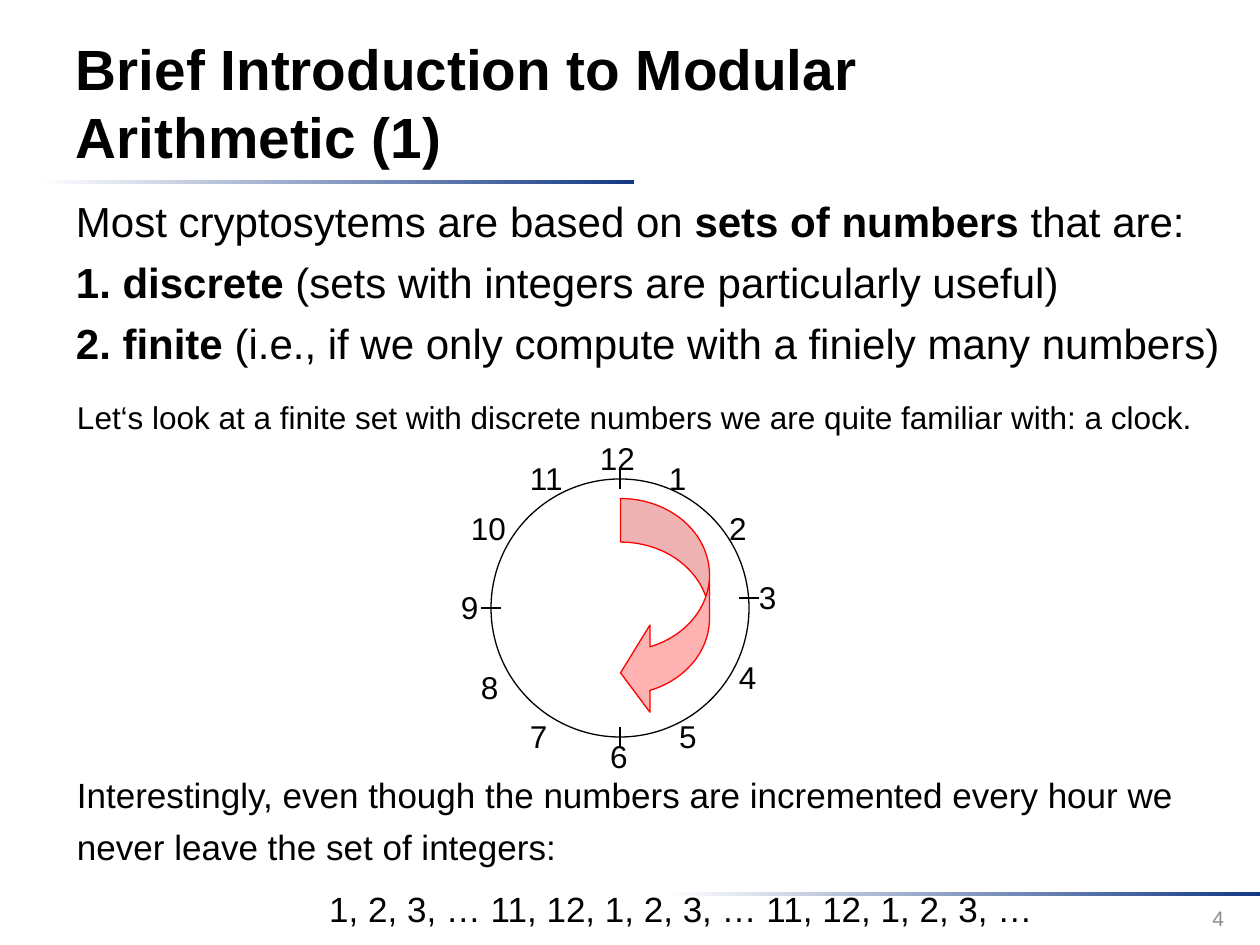
"""Build a slide that introduces modular arithmetic with a clock face."""
from dataclasses import dataclass
from typing import Any

from lxml import etree
from pptx import Presentation, util as u
from pptx.dml.color import RGBColor
from pptx.enum import shapes, text
from pptx.oxml import ns

EMU_PER_INCH = 914400
PX_PER_INCH = 126


@dataclass(frozen=True)
class Theme:
    font: str = "Arial"
    ink: str = "000000"
    paper: str = "FFFFFF"
    rule: str = "133984"
    muted: str = "8C8C8C"
    arrow: str = "FF0000"
    arrow_alpha: int = 30000
    outline: float = 0.75
    title: float = 32.4
    body: float = 24
    remark: float = 20
    note: float = 18
    number: float = 12


@dataclass(frozen=True)
class Box:
    left: int
    top: int
    width: int
    height: int

    def emu(self) -> tuple[int, ...]:
        return tuple(px(side) for side in (self.left, self.top, self.width, self.height))


@dataclass(frozen=True)
class Line:
    runs: tuple[tuple[str, bool], ...]
    align: Any = text.PP_ALIGN.LEFT
    indent: int = 0


@dataclass(frozen=True)
class TextBlock:
    box: Box
    lines: tuple[Line, ...]
    size: float
    color: str
    inset: tuple[int, int] = (0, 0)
    anchor: Any = text.MSO_ANCHOR.TOP
    spacing: float = 1.0
    before: float = 0
    wrap: bool = True


@dataclass(frozen=True)
class Hour:
    label: str
    left: int
    top: int


@dataclass(frozen=True)
class Tick:
    x1: int
    y1: int
    x2: int
    y2: int


THEME = Theme()
PADDING = (13, 6)

RULES = (Box(39, 180, 595, 4), Box(665, 892, 595, 4))

BLOCKS = (
    TextBlock(Box(63, 23, 974, 158),
              (Line((("Brief Introduction to Modular Arithmetic (1)", True),)),),
              THEME.title, THEME.ink, PADDING, text.MSO_ANCHOR.MIDDLE),
    TextBlock(Box(63, 190, 1174, 226), (
        Line((("Most cryptosytems are based on ", False), ("sets of numbers ", True),
              ("that are:", False))),
        Line((("1. discrete ", True), ("(sets with integers are particularly useful)", False))),
        Line((("2. finite ", True),
              ("(i.e., if we only compute with a finiely many numbers)", False))),
    ), THEME.body, THEME.ink, PADDING, before=6),
    TextBlock(Box(944, 893, 293, 50), (Line((("4", False),), text.PP_ALIGN.RIGHT),),
              THEME.number, THEME.muted, PADDING, text.MSO_ANCHOR.MIDDLE),
    TextBlock(Box(77, 389, 1155, 97), (
        Line((("Let‘s look at a finite set with discrete numbers we are quite familiar "
               "with: a clock.", False),)),
    ), THEME.note, THEME.ink, spacing=1.25),
    TextBlock(Box(77, 763, 1149, 180), (
        Line((("Interestingly, even though the numbers are incremented every hour we "
               "never leave the set of integers:", False),)),
        Line((("1, 2, 3, … 11, 12, 1, 2, 3, … 11, 12, 1, 2, 3, …", False),),
             text.PP_ALIGN.CENTER, indent=60),
    ), THEME.remark, THEME.ink, spacing=1.25, before=5),
)

FACE = Box(491, 479, 258, 258)
ARROW = Box(556, 563, 218, 89)
ARROW_ADJUSTMENTS = (0.49, 0.98, 0.33)
DIGIT_WIDTH, DIGIT_HEIGHT = 18, 38
HOURS = (
    Hour("12", 600, 439), Hour("1", 669, 459), Hour("2", 729, 509),
    Hour("3", 759, 578), Hour("4", 739, 658), Hour("5", 679, 717),
    Hour("6", 610, 737), Hour("7", 530, 717), Hour("8", 481, 668),
    Hour("9", 461, 588), Hour("10", 471, 509), Hour("11", 530, 459),
)
TICKS = (
    Tick(620, 469, 620, 489), Tick(620, 727, 620, 747),
    Tick(739, 598, 759, 598), Tick(481, 608, 501, 608),
)


def px(length: int) -> int:
    return round(length * EMU_PER_INCH / PX_PER_INCH)


def rgb(color: str) -> RGBColor:
    return RGBColor.from_string(color)


def draw_text(canvas: Any, block: TextBlock) -> None:
    frame = canvas.add_textbox(*block.box.emu()).text_frame
    frame.word_wrap = block.wrap
    frame.vertical_anchor = block.anchor
    frame.margin_left = frame.margin_right = px(block.inset[0])
    frame.margin_top = frame.margin_bottom = px(block.inset[1])
    for index, line in enumerate(block.lines):
        paragraph = frame.add_paragraph() if index else frame.paragraphs[0]
        paragraph.alignment = line.align
        paragraph.line_spacing = block.spacing
        if index:
            paragraph.space_before = u.Pt(block.before)
        if line.indent:
            paragraph._p.get_or_add_pPr().set("marL", str(px(line.indent)))
        for words, bold in line.runs:
            run = paragraph.add_run()
            run.text = words
            run.font.name = THEME.font
            run.font.size = u.Pt(block.size)
            run.font.bold = bold
            run.font.color.rgb = rgb(block.color)


def draw_shape(canvas: Any, kind: Any, box: Box) -> Any:
    shape = canvas.add_shape(kind, *box.emu())
    shape.shadow.inherit = False
    return shape


def set_outline(shape: Any, color: str) -> None:
    shape.line.color.rgb = rgb(color)
    shape.line.width = u.Pt(THEME.outline)


def draw_rule(canvas: Any, box: Box) -> None:
    shape = draw_shape(canvas, shapes.MSO_SHAPE.RECTANGLE, box)
    shape.line.fill.background()
    shape.fill.gradient()
    shape.fill.gradient_angle = 0
    for stop, color in zip(shape.fill.gradient_stops, (THEME.paper, THEME.rule)):
        stop.color.rgb = rgb(color)


def draw_hour(canvas: Any, hour: Hour) -> None:
    box = Box(hour.left, hour.top, DIGIT_WIDTH * len(hour.label), DIGIT_HEIGHT)
    line = Line(((hour.label, False),))
    draw_text(canvas, TextBlock(box, (line,), THEME.note, THEME.ink, wrap=False))


def draw_tick(canvas: Any, tick: Tick) -> None:
    ends = (px(end) for end in (tick.x1, tick.y1, tick.x2, tick.y2))
    connector = canvas.add_connector(shapes.MSO_CONNECTOR.STRAIGHT, *ends)
    set_outline(connector, THEME.ink)
    etree.SubElement(connector._element.spPr, ns.qn("a:effectLst"))


def draw_arrow(canvas: Any) -> None:
    shape = draw_shape(canvas, shapes.MSO_SHAPE.CURVED_DOWN_ARROW, ARROW)
    shape.rotation = 90
    for index, value in enumerate(ARROW_ADJUSTMENTS):
        shape.adjustments[index] = value
    shape.fill.solid()
    shape.fill.fore_color.rgb = rgb(THEME.arrow)
    color = shape._element.spPr.find(ns.qn("a:solidFill"))[0]
    etree.SubElement(color, ns.qn("a:alpha"), val=str(THEME.arrow_alpha))
    set_outline(shape, THEME.arrow)


def draw_clock(canvas: Any) -> None:
    face = draw_shape(canvas, shapes.MSO_SHAPE.OVAL, FACE)
    face.fill.background()
    set_outline(face, THEME.ink)
    for hour in HOURS:
        draw_hour(canvas, hour)
    for tick in TICKS:
        draw_tick(canvas, tick)
    draw_arrow(canvas)


def main() -> None:
    presentation = Presentation()
    presentation.slide_width, presentation.slide_height = px(1260), px(945)
    slide = presentation.slides.add_slide(presentation.slide_layouts[6])
    for rule in RULES:
        draw_rule(slide.shapes, rule)
    draw_clock(slide.shapes.add_group_shape().shapes)
    for block in BLOCKS:
        draw_text(slide.shapes, block)
    presentation.save("out.pptx")


if __name__ == "__main__":
    main()
